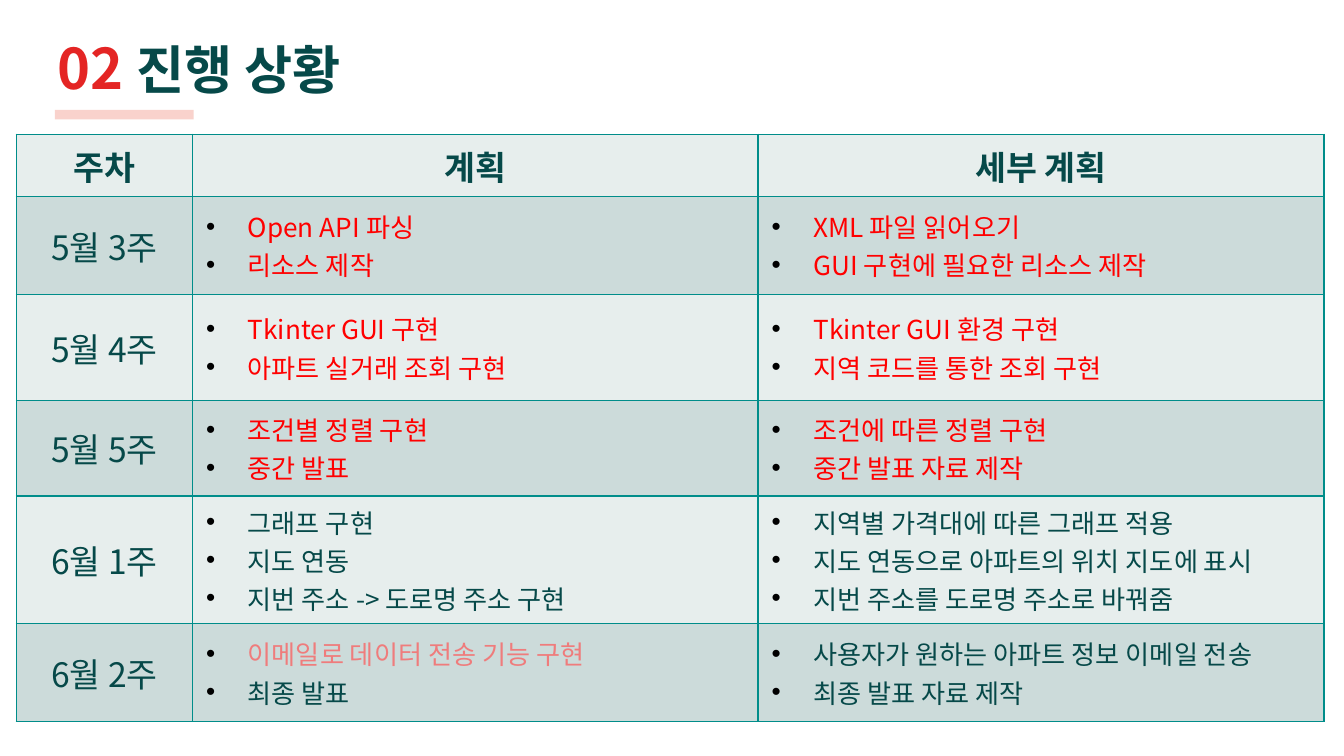
from lxml.etree import SubElement
from pptx import Presentation
from pptx.dml.color import RGBColor
from pptx.enum.shapes import MSO_SHAPE as Shape
from pptx.enum.text import MSO_ANCHOR as Anchor, MSO_AUTO_SIZE as AutoSize, PP_ALIGN as Align
from pptx.oxml.ns import qn
from pptx.util import Cm, Pt

FONT = "Noto Sans CJK KR"
DARK, RED, PINK = "064949", "FF0000", "EF7C7C"
BORDER = "008D8A"
BANDS = ("E7EEED", "CCDBDA")
COLUMN_WIDTHS = (3.33, 10.69, 10.69)
ROW_HEIGHTS = (1.14, 1.85, 2.01, 1.8, 1.85, 1.85)
HEADINGS = ("주차", "계획", "세부 계획")
WEEKS = (
    ("5월 3주",
     (("Open API 파싱", RED), ("리소스 제작", RED)),
     (("XML 파일 읽어오기", RED), ("GUI 구현에 필요한 리소스 제작", RED))),
    ("5월 4주",
     (("Tkinter GUI 구현", RED), ("아파트 실거래 조회 구현", RED)),
     (("Tkinter GUI 환경 구현", RED), ("지역 코드를 통한 조회 구현", RED))),
    ("5월 5주",
     (("조건별 정렬 구현", RED), ("중간 발표", RED)),
     (("조건에 따른 정렬 구현", RED), ("중간 발표 자료 제작", RED))),
    ("6월 1주",
     (("그래프 구현", DARK), ("지도 연동", DARK), ("지번 주소 -> 도로명 주소 구현", DARK)),
     (("지역별 가격대에 따른 그래프 적용", DARK),
      ("지도 연동으로 아파트의 위치 지도에 표시", DARK),
      ("지번 주소를 도로명 주소로 바꿔줌", DARK))),
    ("6월 2주",
     (("이메일로 데이터 전송 기능 구현", PINK), ("최종 발표", DARK)),
     (("사용자가 원하는 아파트 정보 이메일 전송", DARK), ("최종 발표 자료 제작", DARK))),
)


def color(value):
    """Turn a hex string into a colour."""
    return RGBColor.from_string(value)


def add_run(paragraph, text, size, fill, bold=False):
    """Add one formatted run to a paragraph."""
    run = paragraph.add_run()
    run.text = text
    font = run.font
    font.name, font.size, font.bold = FONT, Pt(size), bold
    font.color.rgb = color(fill)
    SubElement(font._element, qn("a:ea"), typeface=FONT)


def add_bullet(paragraph):
    """Give a paragraph a black bullet with a hanging indent."""
    properties = paragraph._p.get_or_add_pPr()
    properties.set("marL", str(Cm(0.79)))
    properties.set("indent", str(-Cm(0.79)))
    bullet_color = SubElement(properties, qn("a:buClr"))
    SubElement(bullet_color, qn("a:srgbClr"), val="000000")
    SubElement(properties, qn("a:buFont"), typeface="Arial")
    SubElement(properties, qn("a:buChar"), char="•")


def style_cell(cell, fill):
    """Set the borders, fill and vertical anchor of a cell."""
    properties = cell._tc.get_or_add_tcPr()
    for side in ("L", "R", "T", "B"):
        line = SubElement(properties, qn(f"a:ln{side}"), w=str(Pt(1)))
        line_fill = SubElement(line, qn("a:solidFill"))
        SubElement(line_fill, qn("a:srgbClr"), val=BORDER)
    cell.fill.solid()
    cell.fill.fore_color.rgb = color(fill)
    cell.vertical_anchor = Anchor.MIDDLE


def write_label(cell, text, bold):
    """Write a centred label in a cell."""
    paragraph = cell.text_frame.paragraphs[0]
    paragraph.alignment = Align.CENTER
    add_run(paragraph, text, 18, DARK, bold)


def write_list(cell, items):
    """Write a bulleted list in a cell."""
    frame = cell.text_frame
    for index, (text, fill) in enumerate(items):
        paragraph = frame.add_paragraph() if index else frame.paragraphs[0]
        paragraph.alignment = Align.JUSTIFY
        add_bullet(paragraph)
        add_run(paragraph, text, 14, fill)


def place_title(slide, left, top, width, height):
    """Place the numbered title and the accent bar below it."""
    title = slide.shapes.title
    title.left, title.top, title.width, title.height = map(Cm, (left, top, width, height))
    frame = title.text_frame
    frame.auto_size = AutoSize.NONE
    frame.vertical_anchor = Anchor.MIDDLE
    frame.margin_left = frame.margin_right = Cm(0.25)
    frame.margin_top = frame.margin_bottom = Cm(0.25)
    paragraph = frame.paragraphs[0]
    paragraph.alignment = Align.LEFT
    add_run(paragraph, "02 ", 30, "E42524", True)
    add_run(paragraph, "진행 상황", 28, DARK, True)

    bar = slide.shapes.add_shape(
        Shape.RECTANGLE, Cm(left + 0.2), Cm(top + height + 0.02), Cm(2.62), Cm(0.18))
    bar.shadow.inherit = False
    bar.line.fill.background()
    bar.fill.solid()
    bar.fill.fore_color.rgb = color("F4AA9E")
    bar_color = bar._element.spPr.find(qn("a:solidFill")).find(qn("a:srgbClr"))
    SubElement(bar_color, qn("a:alpha"), val="52000")


def place_schedule(slide, left, top, width, height):
    """Place the weekly schedule table."""
    table = slide.shapes.add_table(
        len(ROW_HEIGHTS), len(COLUMN_WIDTHS), Cm(left), Cm(top), Cm(width), Cm(height)).table
    table.first_row = table.horz_banding = False
    for column, column_width in zip(table.columns, COLUMN_WIDTHS):
        column.width = Cm(column_width)
    for index, (row, row_height) in enumerate(zip(table.rows, ROW_HEIGHTS)):
        row.height = Cm(row_height)
        for cell, content in zip(row.cells, (HEADINGS, *WEEKS)[index]):
            style_cell(cell, BANDS[index % 2])
            if isinstance(content, str):
                write_label(cell, content, index == 0)
            else:
                write_list(cell, content)


def main():
    """Build and save the presentation."""
    presentation = Presentation()
    presentation.slide_width, presentation.slide_height = Cm(25.4), Cm(14.29)
    slide = presentation.slides.add_slide(presentation.slide_layouts[5])
    place_title(slide, 0.84, 0.46, 23.67, 1.6)
    place_schedule(slide, 0.31, 2.54, sum(COLUMN_WIDTHS), sum(ROW_HEIGHTS))
    presentation.save("out.pptx")


if __name__ == "__main__":
    main()
